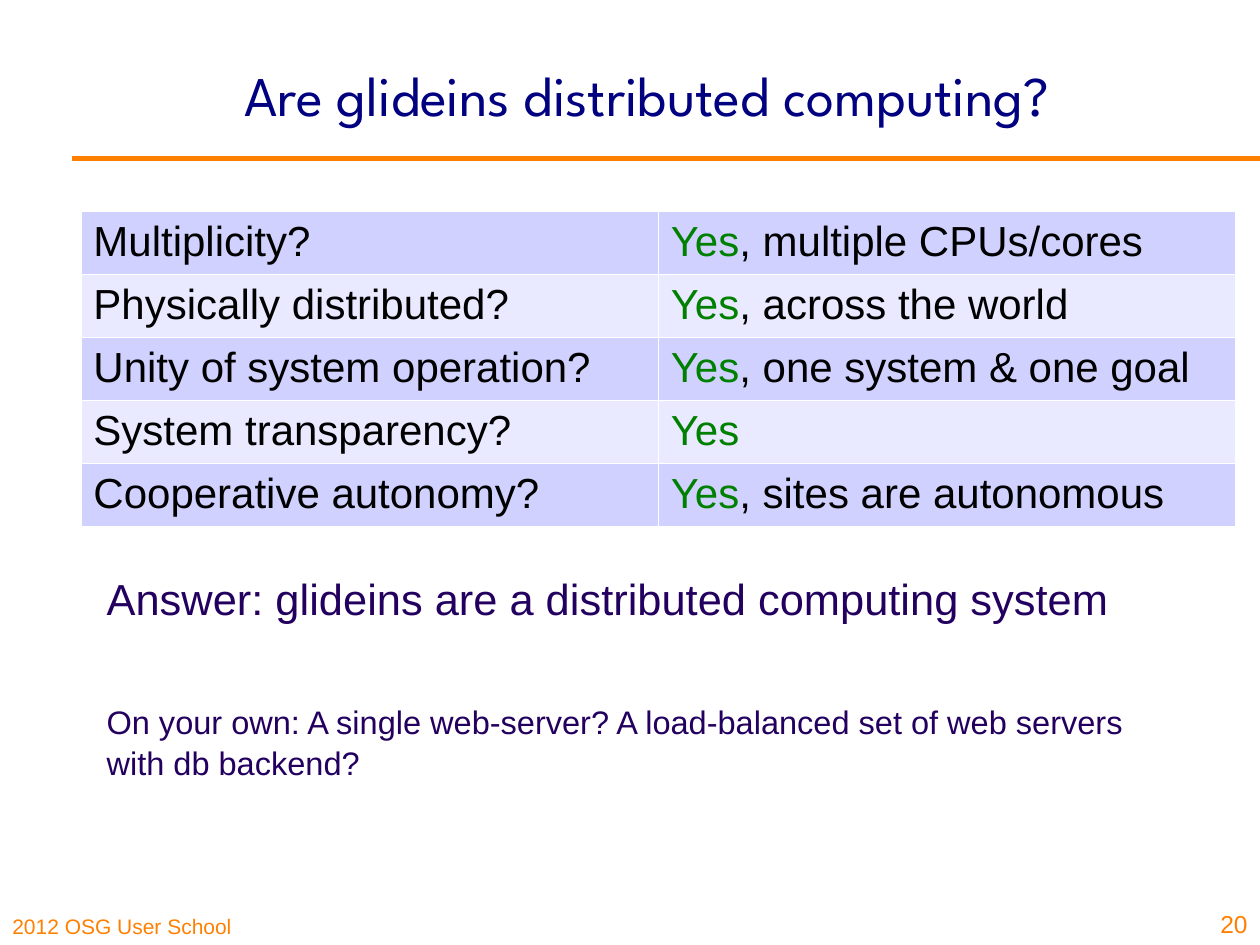
"""Build the slide that asks whether glideins are distributed computing."""
from lxml.etree import SubElement
from pptx import Presentation
from pptx.dml.color import RGBColor
from pptx.enum.shapes import MSO_CONNECTOR
from pptx.enum.text import MSO_ANCHOR as ANCHOR, PP_ALIGN as ALIGN
from pptx.oxml.ns import qn
from pptx.util import Cm, Pt

ORANGE = RGBColor(0xFF, 0x80, 0x00)
NAVY = RGBColor(0x00, 0x00, 0x80)
PURPLE = RGBColor(0x23, 0x00, 0x5F)
GREEN = RGBColor(0x00, 0x80, 0x00)
BLACK = RGBColor(0x00, 0x00, 0x00)
WHITE = RGBColor(0xFF, 0xFF, 0xFF)
BANDS = [RGBColor(0xD1, 0xD1, 0xFF), RGBColor(0xE9, 0xE9, 0xFF)]

ROWS = [
    ("Multiplicity?", ", multiple CPUs/cores"),
    ("Physically distributed?", ", across the world"),
    ("Unity of system operation?", ", one system & one goal"),
    ("System transparency?", ""),
    ("Cooperative autonomy?", ", sites are autonomous"),
]


def add_run(p, text, size, color, font="Arial"):
    r = p.add_run()
    r.text = text
    r.font.size = Pt(size)
    r.font.name = font
    r.font.color.rgb = color


def add_box(s, left, top, width, height, anchor):
    tf = s.shapes.add_textbox(Cm(left), Cm(top), Cm(width), Cm(height)).text_frame
    tf.word_wrap = True
    tf.vertical_anchor = anchor
    return tf


prs = Presentation()
prs.slide_width, prs.slide_height = Cm(25.4), Cm(19.05)
s = prs.slides.add_slide(prs.slide_layouts[5])

title = s.shapes.title
title.left, title.top, title.width, title.height = Cm(3.4), Cm(0.3), Cm(19.3), Cm(3.18)
title.text_frame.vertical_anchor = ANCHOR.MIDDLE
p = title.text_frame.paragraphs[0]
p.alignment = ALIGN.CENTER
add_run(p, "Are glideins distributed computing?", 32, NAVY, "League Spartan")

rule = s.shapes.add_connector(MSO_CONNECTOR.STRAIGHT, Cm(1.45), Cm(3.2), Cm(25.4), Cm(3.2))
rule.line.color.rgb = ORANGE
rule.line.width = Pt(3)
SubElement(rule._element.spPr, qn("a:effectLst"))

table = s.shapes.add_table(len(ROWS), 2, Cm(1.63), Cm(4.27), Cm(23.28), Cm(6.35)).table
table.first_row = False
table.horz_banding = False
for i, (question, detail) in enumerate(ROWS):
    answer = [("Yes", GREEN)] + ([(detail, BLACK)] if detail else [])
    for j, runs in enumerate([[(question, BLACK)], answer]):
        cell = table.cell(i, j)
        tcPr = cell._tc.get_or_add_tcPr()
        for side in ("a:lnL", "a:lnR", "a:lnT", "a:lnB"):
            ln = SubElement(tcPr, qn(side), w=str(Pt(0.45)))
            fill = SubElement(ln, qn("a:solidFill"))
            SubElement(fill, qn("a:srgbClr"), val=str(WHITE))
        cell.fill.solid()
        cell.fill.fore_color.rgb = BANDS[i % 2]
        for text, color in runs:
            add_run(cell.text_frame.paragraphs[0], text, 24, color)

tf = add_box(s, 1.9, 11.4, 21.6, 5.33, ANCHOR.TOP)
add_run(tf.paragraphs[0], "Answer: glideins are a distributed computing system", 24.8, PURPLE)
p = tf.add_paragraph()
p.space_before = Pt(44)
p.line_spacing = 1.04
add_run(p, "On your own: A single web-server? A load-balanced set of web servers "
        "with db backend?", 18.6, PURPLE)

tf = add_box(s, 0, 17.98, 6.3, 1.07, ANCHOR.BOTTOM)
add_run(tf.paragraphs[0], "2012 OSG User School", 12, ORANGE)

tf = add_box(s, 24.23, 17.78, 1.17, 1.27, ANCHOR.BOTTOM)
tf.paragraphs[0].alignment = ALIGN.RIGHT
add_run(tf.paragraphs[0], "20", 14, ORANGE)

prs.save("out.pptx")
